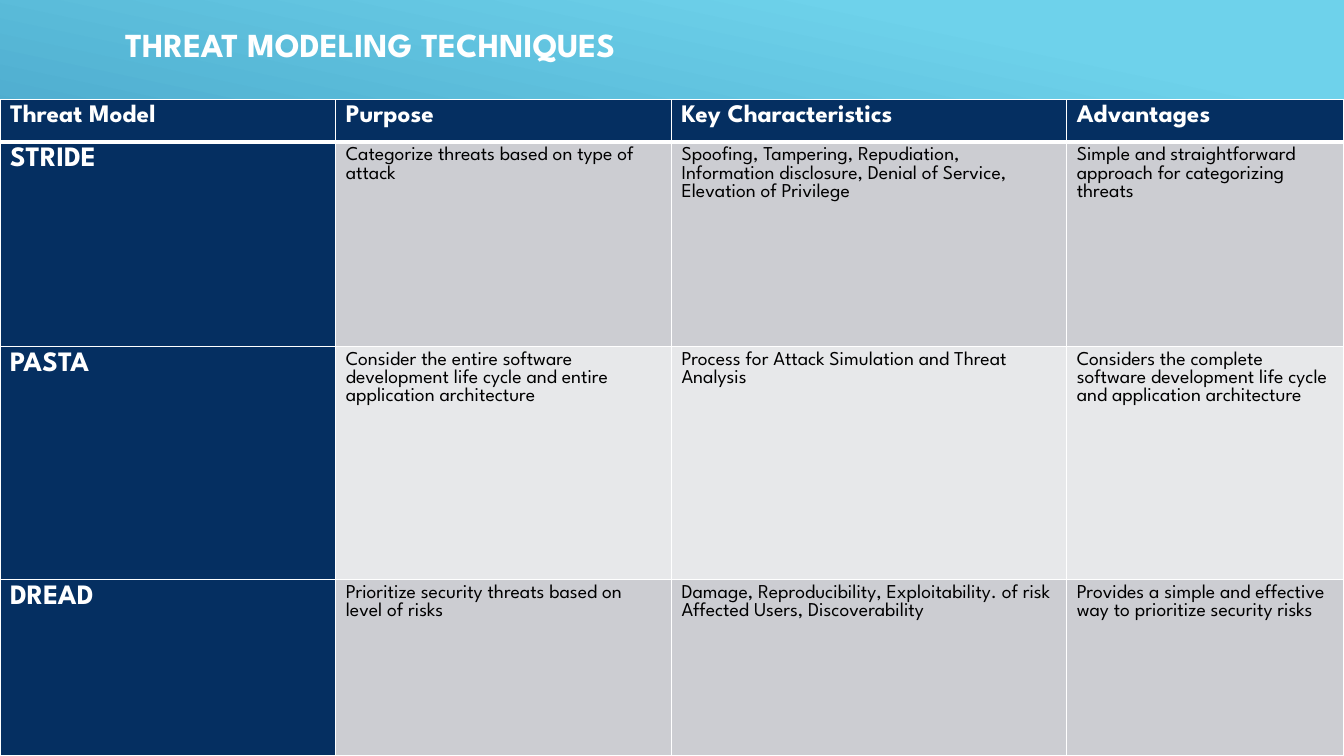
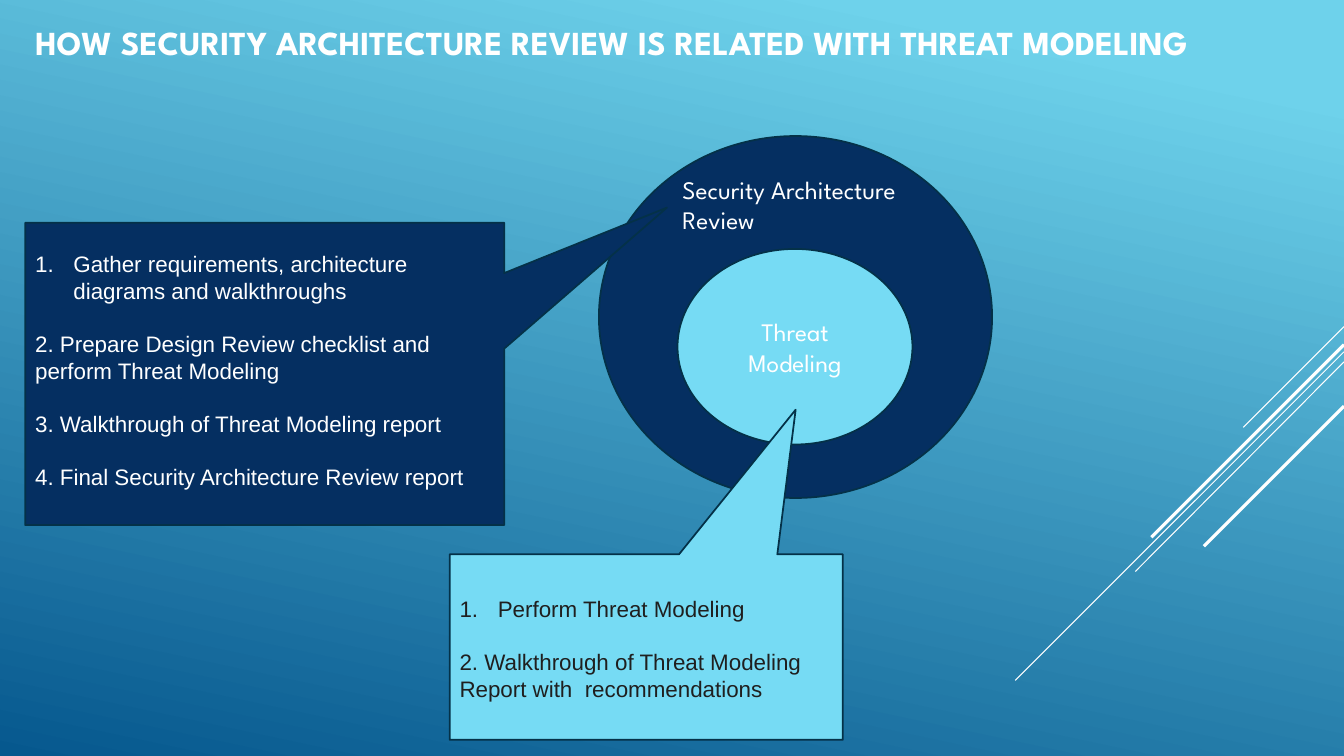
"""Build two slides on threat modeling techniques and security architecture review."""
from dataclasses import dataclass
from typing import Any

from lxml import etree
from pptx import Presentation
from pptx import presentation as pres
from pptx import slide as sld
from pptx.dml import color as dml
from pptx.enum import shapes, text
from pptx.oxml import ns
from pptx.util import Emu, Pt

EMU_PER_PX = 9144
SLIDE_SIZE = (1333, 750)
HEADING_FONT = "League Spartan"
BODY_FONT = "Arial"
COLORS = {
    "sky": "6ED2EB",
    "deep": "06588E",
    "navy": "052F61",
    "cyan": "76DBF4",
    "outline": "043148",
    "white": "FFFFFF",
    "black": "000000",
    "ink": "1F1F1F",
    "band_dark": "CCCDD2",
    "band_light": "E7E8EA",
}


@dataclass(frozen=True)
class Area:
    """A rectangle in px."""
    left: int
    top: int
    width: int
    height: int

    def emu(self) -> tuple[Emu, ...]:
        """Return left, top, width and height in EMU."""
        return tuple(px(n) for n in (self.left, self.top, self.width, self.height))


@dataclass(frozen=True)
class Style:
    """The look of a text span."""
    size: int
    color: str = "white"
    bold: bool = False
    font: str = HEADING_FONT


@dataclass(frozen=True)
class Streak:
    """A decorative diagonal line."""
    start: tuple[int, int]
    end: tuple[int, int]
    weight: float


@dataclass(frozen=True)
class Callout:
    """A numbered list in a pointed box."""
    area: Area
    tip: tuple[float, float]
    fill: str
    color: str
    margins: tuple[int, int]
    steps: tuple[str, ...]


TITLE_STYLE = Style(24, bold=True)
HEADER_STYLE = Style(18, bold=True)
MODEL_STYLE = Style(20, bold=True)
CELL_STYLE = Style(14, "black")
LABEL_STYLE = Style(18)
LABEL_LEADING = 22
STEP_LEADING = 19
STEP_INDENT = 38

STREAKS = (
    Streak((1333, 324), (1233, 424), 0.75),
    Streak((1333, 349), (1007, 675), 0.75),
    Streak((1333, 359), (1126, 567), 0.75),
    Streak((1333, 342), (1142, 533), 2.25),
    Streak((1333, 403), (1194, 542), 2.25),
)

TABLE_AREA = Area(0, 99, 1333, 651)
COLUMN_WIDTHS = (333, 333, 392, 275)
ROW_HEIGHTS = (42, 203, 231, 175)
TABLE_ROWS = (
    ("Threat Model", "Purpose", "Key Characteristics", "Advantages"),
    ("STRIDE", "Categorize threats based on type of attack",
     "Spoofing, Tampering, Repudiation, Information disclosure, Denial of Service, "
     "Elevation of Privilege",
     "Simple and straightforward approach for categorizing threats"),
    ("PASTA",
     "Consider the entire software development life cycle and entire application architecture",
     "Process for Attack Simulation and Threat Analysis",
     "Considers the complete software development life cycle and application architecture"),
    ("DREAD", "Prioritize security threats based on level of risks",
     "Damage, Reproducibility, Exploitability. of risk Affected Users, Discoverability",
     "Provides a simple and effective way to prioritize security risks"),
)

CALLOUTS = (
    Callout(Area(25, 221, 475, 300), (0.84, -0.55), "navy", "white", (5, 12), (
        "Gather requirements, architecture diagrams and walkthroughs",
        "2. Prepare Design Review checklist and perform Threat Modeling",
        "3. Walkthrough of Threat Modeling report",
        "4. Final Security Architecture Review report",
    )),
    Callout(Area(446, 550, 390, 184), (0.38, -1.28), "cyan", "ink", (8, 5), (
        "Perform Threat Modeling",
        "2. Walkthrough of Threat Modeling Report with  recommendations",
    )),
)


def px(length: int) -> Emu:
    """Convert px to EMU."""
    return Emu(length * EMU_PER_PX)


def rgb(name: str) -> dml.RGBColor:
    """Look up a named colour."""
    return dml.RGBColor.from_string(COLORS[name])


def format_text(frame: Any, style: Style, leading: int | None = None,
                align: text.PP_ALIGN = text.PP_ALIGN.LEFT) -> None:
    """Apply one style to every paragraph of a frame."""
    for para in frame.paragraphs:
        para.alignment = align
        if leading:
            para.line_spacing = Pt(leading)
        for span in para.runs:
            span.font.name = style.font
            span.font.size = Pt(style.size)
            span.font.bold = style.bold
            span.font.color.rgb = rgb(style.color)


def paint_background(master: sld.SlideMaster) -> None:
    """Give all slides the shared gradient."""
    fill = master.background.fill
    fill.gradient()
    fill.gradient_angle = 360 - 102
    for stop, position, name in zip(fill.gradient_stops, (0.1, 1), ("sky", "deep")):
        stop.position = position
        stop.color.rgb = rgb(name)


def add_streak(page: sld.Slide, streak: Streak) -> None:
    """Draw one diagonal line."""
    ends = (px(n) for n in streak.start + streak.end)
    line = page.shapes.add_connector(shapes.MSO_CONNECTOR.STRAIGHT, *ends)
    line.line.color.rgb = rgb("white")
    line.line.width = Pt(streak.weight)
    etree.SubElement(line._element.spPr, ns.qn("a:effectLst"))


def add_page(deck: pres.Presentation, title: str, area: Area) -> sld.Slide:
    """Add a slide with a formatted title and the shared streaks."""
    page = deck.slides.add_slide(deck.slide_layouts.get_by_name("Title Only"))
    box = page.shapes.title
    box.left, box.top, box.width, box.height = area.emu()
    frame = box.text_frame
    frame.text = title
    frame.auto_size = text.MSO_AUTO_SIZE.NONE
    frame.vertical_anchor = text.MSO_ANCHOR.MIDDLE
    format_text(frame, TITLE_STYLE)
    for streak in STREAKS:
        add_streak(page, streak)
    return page


def add_figure(page: sld.Slide, kind: shapes.MSO_SHAPE, area: Area, fill: str) -> Any:
    """Draw a filled and outlined preset shape."""
    figure = page.shapes.add_shape(kind, *area.emu())
    figure.shadow.inherit = False
    figure.fill.solid()
    figure.fill.fore_color.rgb = rgb(fill)
    figure.line.color.rgb = rgb("outline")
    figure.line.width = Pt(1.25)
    figure.text_frame.word_wrap = True
    figure.text_frame.vertical_anchor = text.MSO_ANCHOR.MIDDLE
    return figure


def add_callout(page: sld.Slide, callout: Callout) -> None:
    """Draw a callout whose first step is numbered automatically."""
    box = add_figure(page, shapes.MSO_SHAPE.RECTANGULAR_CALLOUT, callout.area, callout.fill)
    box.adjustments[0], box.adjustments[1] = callout.tip
    frame = box.text_frame
    frame.margin_top, frame.margin_bottom = (px(n) for n in callout.margins)
    frame.text = "\n".join(callout.steps)
    format_text(frame, Style(16, callout.color, font=BODY_FONT), STEP_LEADING)
    first, *others = frame.paragraphs
    for para in others:
        para.space_before = Pt(STEP_LEADING)
    properties = first._p.get_or_add_pPr()
    properties.set("marL", str(px(STEP_INDENT)))
    properties.set("indent", str(-px(STEP_INDENT)))
    etree.SubElement(properties, ns.qn("a:buFont"), typeface="+mj-lt")
    etree.SubElement(properties, ns.qn("a:buAutoNum"), type="arabicPeriod")


def set_borders(cell: Any, top: int, bottom: int) -> None:
    """Draw white cell borders, with the given weights above and below."""
    properties = cell._tc.get_or_add_tcPr()
    for side, weight in (("L", 1), ("R", 1), ("T", top), ("B", bottom)):
        line = etree.SubElement(properties, ns.qn(f"a:ln{side}"), w=str(Pt(weight)))
        fill = etree.SubElement(line, ns.qn("a:solidFill"))
        etree.SubElement(fill, ns.qn("a:srgbClr"), val=COLORS["white"])


def cell_look(row: int, column: int) -> tuple[Style, str]:
    """Choose text style and fill by place in the table."""
    if row == 0:
        return HEADER_STYLE, "navy"
    if column == 0:
        return MODEL_STYLE, "navy"
    return CELL_STYLE, "band_dark" if row % 2 else "band_light"


def add_model_table(page: sld.Slide) -> None:
    """Draw the comparison of threat models."""
    table = page.shapes.add_table(len(TABLE_ROWS), len(COLUMN_WIDTHS), *TABLE_AREA.emu()).table
    for column, width in zip(table.columns, COLUMN_WIDTHS):
        column.width = px(width)
    for row, height in zip(table.rows, ROW_HEIGHTS):
        row.height = px(height)
    for i, entries in enumerate(TABLE_ROWS):
        for j, entry in enumerate(entries):
            cell = table.cell(i, j)
            style, fill = cell_look(i, j)
            cell.text_frame.text = entry
            format_text(cell.text_frame, style)
            set_borders(cell, top=3 if i == 1 else 1, bottom=3 if i == 0 else 1)
            cell.fill.solid()
            cell.fill.fore_color.rgb = rgb(fill)


def add_review_diagram(page: sld.Slide) -> None:
    """Draw threat modeling nested inside the architecture review."""
    add_figure(page, shapes.MSO_SHAPE.OVAL, Area(594, 135, 390, 359), "navy")
    inner = add_figure(page, shapes.MSO_SHAPE.OVAL, Area(672, 247, 233, 194), "cyan")
    inner.text_frame.text = "Threat Modeling"
    format_text(inner.text_frame, LABEL_STYLE, LABEL_LEADING, text.PP_ALIGN.CENTER)
    label = page.shapes.add_textbox(*Area(667, 167, 269, 71).emu())
    label.text_frame.word_wrap = True
    label.text_frame.text = "Security Architecture Review"
    format_text(label.text_frame, LABEL_STYLE, LABEL_LEADING)


def main() -> None:
    """Build and save the deck."""
    deck = Presentation()
    deck.slide_width, deck.slide_height = (px(n) for n in SLIDE_SIZE)
    paint_background(deck.slide_master)

    techniques = add_page(deck, "THREAT MODELING TECHNIQUES", Area(114, 10, 1105, 67))
    add_model_table(techniques)

    relation = add_page(deck, "HOW SECURITY ARCHITECTURE REVIEW IS RELATED WITH THREAT MODELING",
                        Area(25, 10, 1283, 64))
    add_review_diagram(relation)
    for callout in CALLOUTS:
        add_callout(relation, callout)

    deck.save("out.pptx")


if __name__ == "__main__":
    main()
